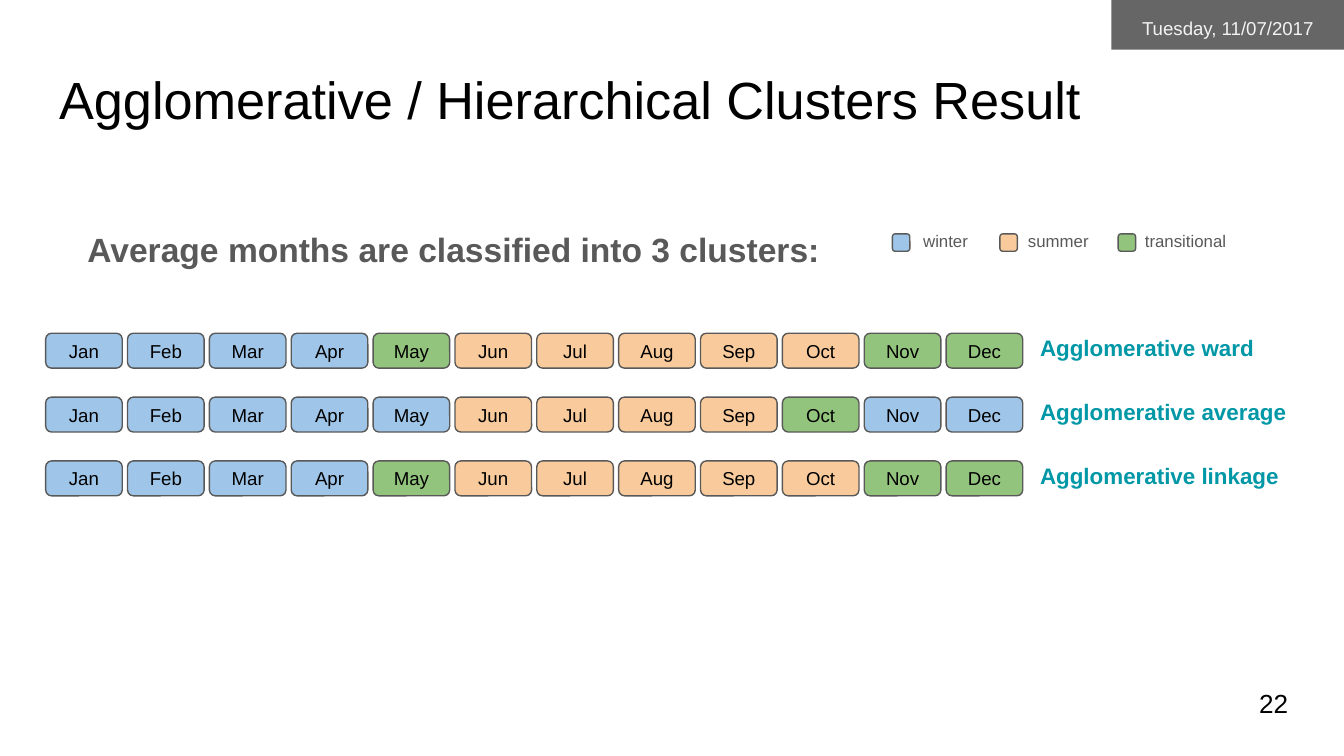
"""Build the slide on agglomerative clustering of the average months."""
from lxml import etree
from pptx import Presentation
from pptx.dml.color import RGBColor
from pptx.enum.shapes import MSO_SHAPE
from pptx.enum.text import MSO_ANCHOR, MSO_AUTO_SIZE, PP_ALIGN
from pptx.oxml.ns import qn
from pptx.util import Inches, Pt

ROUND, RECT = MSO_SHAPE.ROUNDED_RECTANGLE, MSO_SHAPE.RECTANGLE
TOP, MID = MSO_ANCHOR.TOP, MSO_ANCHOR.MIDDLE
LEFT, CENTER = PP_ALIGN.LEFT, PP_ALIGN.CENTER
FIXED = MSO_AUTO_SIZE.NONE
COLORS = {
    "winter": "9FC5E8", "summer": "F9CB9C", "transitional": "93C47D",
    "edge": "595959", "black": "000000", "teal": "0097A7",
    "bar": "666666", "pale": "F3F3F3",
}
KINDS = {"w": "winter", "s": "summer", "t": "transitional"}
MONTHS = "Jan Feb Mar Apr May Jun Jul Aug Sep Oct Nov Dec".split()
ROWS = [
    ("Agglomerative ward", "wwwwtssssstt", 1.84),
    ("Agglomerative average", "wwwwwsssstww", 2.09),
    ("Agglomerative linkage", "wwwwtssssstt", 2.32),
]
KEYS = [("winter", 6.64, 6.77), ("summer", 7.44, 7.55), ("transitional", 8.32, 8.42)]


def write(shape, text, size=10, color="black", bold=False, align=LEFT,
          anchor=TOP, after=0, lines=1.0):
    frame = shape.text_frame
    frame.text = text
    frame.word_wrap = True
    frame.auto_size = FIXED
    frame.vertical_anchor = anchor
    frame.margin_left = frame.margin_right = Inches(0.1)
    frame.margin_top = frame.margin_bottom = Inches(0.1)
    para = frame.paragraphs[0]
    para.alignment = align
    para.line_spacing = lines
    para.space_before = Pt(0)
    para.space_after = Pt(after)
    font = para.runs[0].font
    font.name = "Arial"
    font.size = Pt(size)
    font.bold = bold
    font.color.rgb = RGBColor.from_string(COLORS[color])


def block(form, box, fill, edge=None):
    shape = slide.shapes.add_shape(form, *map(Inches, box))
    shape.shadow.inherit = False
    shape.fill.solid()
    shape.fill.fore_color.rgb = RGBColor.from_string(COLORS[fill])
    if edge:
        shape.line.color.rgb = RGBColor.from_string(COLORS[edge])
        shape.line.width = Pt(0.75)
    else:
        shape.line.fill.background()
    return shape


deck = Presentation()
deck.slide_width = Inches(10)
deck.slide_height = Inches(10 * 9 / 16)
slide = deck.slides.add_slide(deck.slide_layouts[1])
shapes = slide.shapes

title, body = shapes.title, slide.placeholders[1]
for holder, box in ((title, (0.34, 0.4, 8.56, 0.63)), (body, (0.55, 1.56, 5.74, 0.55))):
    holder.left, holder.top, holder.width, holder.height = map(Inches, box)
write(title, "Agglomerative / Hierarchical Clusters Result", size=28)
write(body, "Average months are classified into 3 clusters:", size=18,
      color="edge", bold=True, after=16, lines=1.15)
props = body.text_frame.paragraphs[0]._p.get_or_add_pPr()
props.set("marL", "0")
props.set("indent", "0")
etree.SubElement(props, qn("a:buNone"))

date = block(RECT, (8.27, 0, 1.73, 0.37), "bar")
write(date, "Tuesday, 11/07/2017", color="pale", align=CENTER, after=16, lines=1.15)

step = (7.04 - 0.34) / 11
pitch = 0.95 / 2
for row, (name, codes, width) in enumerate(ROWS):
    top = 2.48 + pitch * row
    for col, (month, code) in enumerate(zip(MONTHS, codes)):
        cell = block(ROUND, (0.34 + step * col, top, 0.57, 0.26), KINDS[code], "edge")
        write(cell, month, align=CENTER, anchor=MID)
    label = shapes.add_textbox(*map(Inches, (7.64, top - 0.09, width, 0.43)))
    write(label, name, size=12, color="teal", bold=True, after=10)

for name, left, start in KEYS:
    block(ROUND, (left, 1.74, 0.13, 0.13), name, "edge")
    label = shapes.add_textbox(*map(Inches, (start, 1.62, 0.99, 0.36)))
    write(label, name, size=9, color="edge", after=10)

number = shapes.add_textbox(*map(Inches, (9.27, 5.02, 0.6, 0.43)))
write(number, "22", size=14, anchor=MID)

deck.save("out.pptx")
